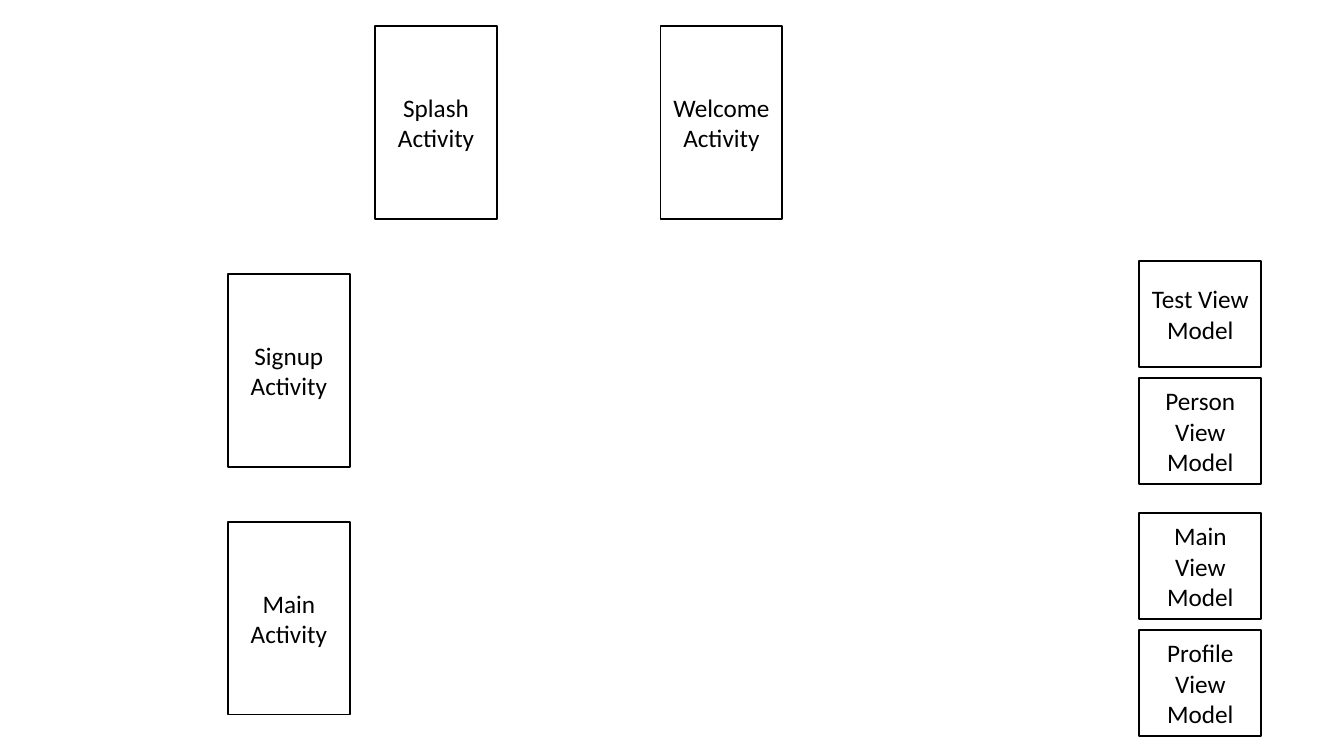
from dataclasses import dataclass

from pptx import Presentation
from pptx.dml.color import RGBColor
from pptx.enum.shapes import MSO_SHAPE
from pptx.enum.text import MSO_ANCHOR, PP_ALIGN
from pptx.util import Inches, Pt

ACTIVITIES = [
    ("Signup Activity", 2.26, 1),
    ("Main Activity", 2.26, 2),
    ("Welcome Activity", 6.55, 0),
    ("Splash Activity", 3.72, 0),
]
VIEW_MODEL_GROUPS = [
    [["Test View Model"], ["Person View", "Model"]],
    [["Main View Model"], ["Profile View Model"]],
]

BOX_WIDTH = 1.21
ACTIVITY_HEIGHT, ACTIVITY_TOP, ACTIVITY_PITCH = 1.91, 0.26, 2.46
MODEL_HEIGHT, MODEL_LEFT, MODEL_TOP = 1.05, 11.3, 2.59
MODEL_PITCH, GROUP_PITCH = 1.16, 2.5


@dataclass(frozen=True)
class Theme:
    ink: RGBColor = RGBColor(0, 0, 0)
    font: str = "Calibri"
    label_size: Pt = Pt(18)
    outline: Pt = Pt(1.25)


THEME = Theme()


def add_box(slide, label_lines, left, top, height):
    box = slide.shapes.add_shape(
        MSO_SHAPE.RECTANGLE,
        Inches(left), Inches(top), Inches(BOX_WIDTH), Inches(height),
    )
    box.shadow.inherit = False
    box.fill.background()
    box.line.color.rgb = THEME.ink
    box.line.width = THEME.outline
    frame = box.text_frame
    frame.word_wrap = True
    frame.vertical_anchor = MSO_ANCHOR.MIDDLE
    for index, line in enumerate(label_lines):
        paragraph = frame.add_paragraph() if index else frame.paragraphs[0]
        paragraph.alignment = PP_ALIGN.CENTER
        run = paragraph.add_run()
        run.text = line
        run.font.name = THEME.font
        run.font.size = THEME.label_size
        run.font.color.rgb = THEME.ink


def main():
    deck = Presentation()
    deck.slide_width, deck.slide_height = Inches(13.33), Inches(7.5)
    slide = deck.slides.add_slide(deck.slide_layouts[6])

    for activity, left, row in ACTIVITIES:
        top = ACTIVITY_TOP + row * ACTIVITY_PITCH
        add_box(slide, [activity], left, top, ACTIVITY_HEIGHT)

    for group, view_models in enumerate(VIEW_MODEL_GROUPS):
        for slot, label_lines in enumerate(view_models):
            top = MODEL_TOP + group * GROUP_PITCH + slot * MODEL_PITCH
            add_box(slide, label_lines, MODEL_LEFT, top, MODEL_HEIGHT)

    deck.save("out.pptx")


if __name__ == "__main__":
    main()
